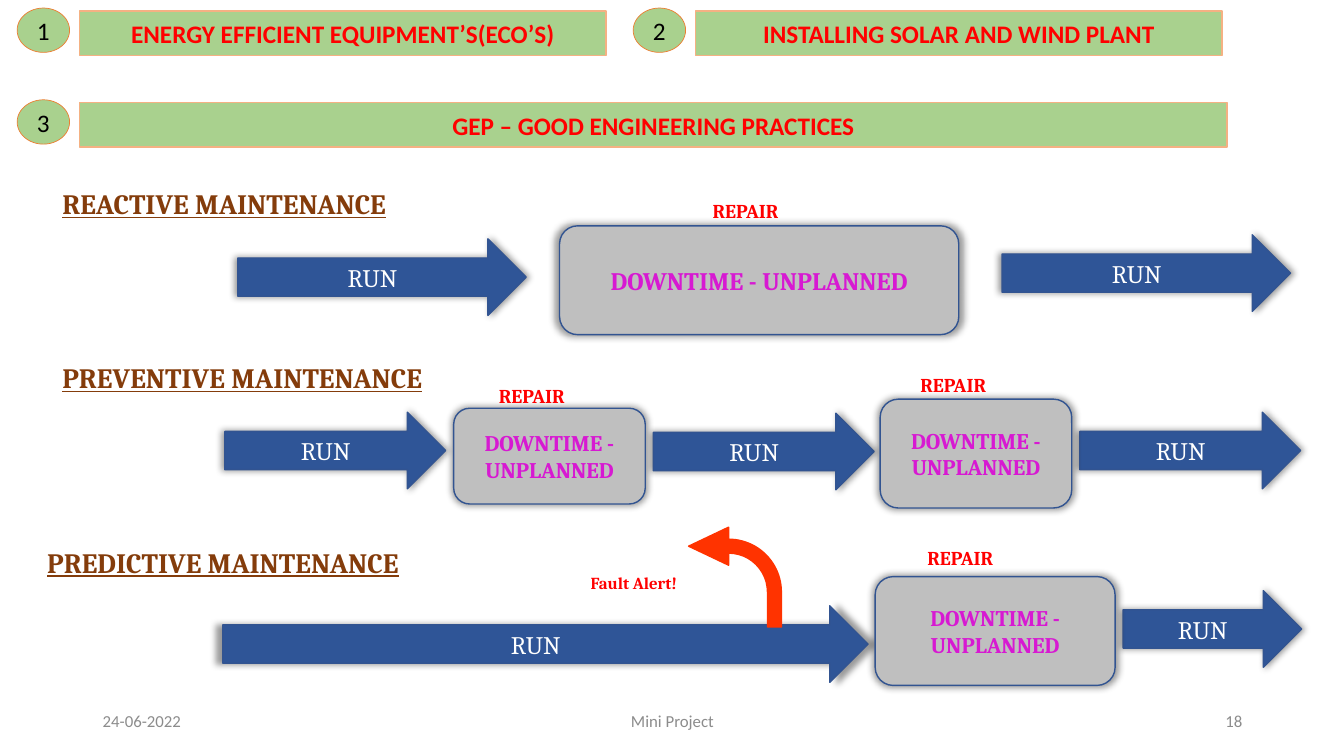
from lxml import etree
from pptx import Presentation
from pptx.dml.color import RGBColor
from pptx.enum.shapes import MSO_SHAPE
from pptx.enum.text import MSO_ANCHOR, PP_ALIGN
from pptx.oxml import parse_xml
from pptx.oxml.ns import nsdecls, qn
from pptx.util import Inches, Pt

COLORS = {
    "green": "A9D18E", "orange": "ED7D31", "peach": "F4B183",
    "blue": "2F5597", "outline": "325491", "gray": "BFBFBF",
    "magenta": "D719D2", "brown": "843C0B", "red": "FF0000",
    "alert": "FF3300", "footer": "8C8C8C", "white": "FFFFFF", "black": "000000",
}
W, H = 13.33, 7.5
ARROW_H = 0.76
BAR_H = 0.44


def rgb(name):
    return RGBColor.from_string(COLORS[name])


def write(sp, text, size=18, font="Cambria", color="black", bold=False,
          underline=False, align=PP_ALIGN.LEFT, anchor=MSO_ANCHOR.TOP):
    tf = sp.text_frame
    tf.word_wrap = True
    tf.vertical_anchor = anchor
    p = tf.paragraphs[0]
    p.alignment = align
    r = p.add_run()
    r.text = text
    r.font.size, r.font.name = Pt(size), font
    r.font.bold, r.font.underline = bold, underline
    r.font.color.rgb = rgb(color)


def label(s, box, text, **fmt):
    write(s.shapes.add_textbox(*map(Inches, box)), text, **fmt)


def shape(s, kind, box, fill, line, text="", line_width=1, **fmt):
    sp = s.shapes.add_shape(kind, *map(Inches, box))
    sp.shadow.inherit = False
    sp.fill.solid()
    sp.fill.fore_color.rgb = rgb(fill)
    sp.line.color.rgb = rgb(line)
    sp.line.width = Pt(line_width)
    if text:
        write(sp, text, align=PP_ALIGN.CENTER, anchor=MSO_ANCHOR.MIDDLE, **fmt)
    return sp


def add_halo(sp):
    """Soft gray shadow on all sides."""
    effects = sp.element.spPr.find(qn("a:effectLst"))
    effects.append(parse_xml(
        f'<a:outerShdw {nsdecls("a")} blurRad="63500" sx="102000" sy="102000" '
        'algn="ctr" rotWithShape="0"><a:srgbClr val="000000">'
        '<a:alpha val="40000"/></a:srgbClr></a:outerShdw>'))


def heading(s, box, number, text):
    """Numbered circle followed by a bar that fills the rest of the box."""
    x, y, w, h = box
    shape(s, MSO_SHAPE.FLOWCHART_CONNECTOR, (x, y, 0.52, h), "green", "orange",
          number, line_width=0.5, font="Calibri")
    shape(s, MSO_SHAPE.RECTANGLE, (x + 0.62, y + 0.03, w - 0.62, h), "green",
          "peach", text, font="Calibri", color="red", bold=True)


def run_arrow(s, x, y, w):
    add_halo(shape(s, MSO_SHAPE.RIGHT_ARROW, (x, y, w, ARROW_H), "blue",
                   "outline", "RUN", color="white"))


def downtime(s, box, size, repair_dx, repair_dy):
    """Downtime block with its repair label above."""
    x, y = box[:2]
    add_halo(shape(s, MSO_SHAPE.ROUNDED_RECTANGLE, box, "gray", "outline",
                   "DOWNTIME - UNPLANNED", size=size, color="magenta", bold=True))
    label(s, (x + repair_dx, y - repair_dy, 1.67, 0.34), "REPAIR",
          size=14, color="red", bold=True)


def maintenance(s, left, top, title, runs, stops):
    """Titled lane; runs and stops are measured from its top left corner."""
    label(s, (left, top, 5.18, 0.44), title, size=20, color="brown",
          bold=True, underline=True)
    for dx, dy, w in runs:
        run_arrow(s, left + dx, top + dy, w)
    for dx, dy, w, h, size, repair_dx, repair_dy in stops:
        downtime(s, (left + dx, top + dy, w, h), size, repair_dx, repair_dy)


def fault_alert(s, x, y):
    """Alert text and the arrow that bends back from the run."""
    label(s, (x, y + 0.4, 1.31, 0.3), "Fault Alert!", size=12, color="red", bold=True)
    sp = shape(s, MSO_SHAPE.BENT_ARROW, (x + 1.07, y, 0.92, 0.99), "alert", "alert")
    for i, value in enumerate((0.15, 0.205, 0.431, 0.724)):
        sp.adjustments[i] = value
    sp.element.spPr.find(qn("a:xfrm")).set("flipH", "1")


def footer(s, y):
    for x, w, text, align in (
        (0.92, 3, "24-06-2022", PP_ALIGN.LEFT),
        (4.42, 4.5, "Mini Project", PP_ALIGN.CENTER),
        (9.42, 3, "18", PP_ALIGN.RIGHT),
    ):
        label(s, (x, y, w, 0.4), text, size=12, font="Calibri", color="footer",
              align=align, anchor=MSO_ANCHOR.MIDDLE)


def main():
    prs = Presentation()
    prs.slide_width, prs.slide_height = Inches(W), Inches(H)
    s = prs.slides.add_slide(prs.slide_layouts[6])

    footer(s, 6.95)

    # Maintenance lanes: runs (dx, dy, w), stops (dx, dy, w, h, size, label offset)
    maintenance(s, 0.52, 1.8, "REACTIVE MAINTENANCE",
                [(1.84, 0.57, 2.86), (9.42, 0.53, 2.86)],
                [(5.03, 0.44, 3.96, 1.08, 18, 1.42, 0.32)])
    maintenance(s, 0.52, 3.53, "PREVENTIVE MAINTENANCE",
                [(1.71, 0.56, 2.19), (5.96, 0.57, 2.19), (10.19, 0.56, 2.19)],
                [(3.98, 0.52, 1.9, 0.95, 16, 0.35, 0.29),
                 (8.21, 0.43, 1.9, 1.08, 16, 0.3, 0.31)])
    maintenance(s, 0.37, 5.36, "PREDICTIVE MAINTENANCE",
                [(1.84, 0.65, 6.4), (10.77, 0.5, 1.77)],
                [(8.31, 0.36, 2.38, 1.08, 16, 0.42, 0.35)])
    fault_alert(s, 5.76, 5.23)

    # Numbered headings
    heading(s, (0.17, 0.08, 5.84, BAR_H), "1", "ENERGY EFFICIENT EQUIPMENT’S(ECO’S)")
    heading(s, (6.28, 0.08, 5.84, BAR_H), "2", "INSTALLING SOLAR AND WIND PLANT")
    heading(s, (0.17, 0.99, 12, BAR_H), "3", "GEP – GOOD ENGINEERING PRACTICES")

    prs.save("out.pptx")


if __name__ == "__main__":
    main()
